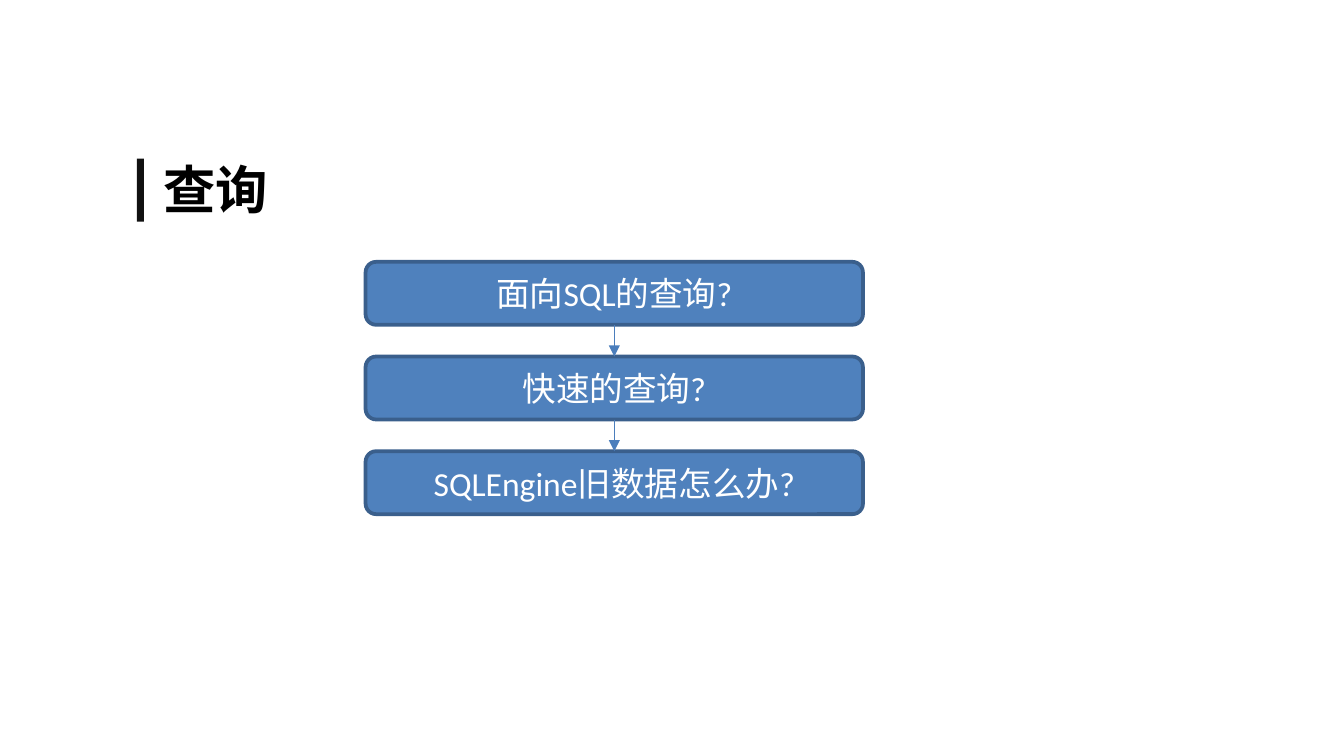
from dataclasses import dataclass

from lxml import etree
from pptx import Presentation
from pptx.dml.color import RGBColor
from pptx.enum.shapes import MSO_CONNECTOR, MSO_SHAPE
from pptx.enum.text import MSO_ANCHOR, MSO_AUTO_SIZE, PP_ALIGN
from pptx.oxml.ns import qn
from pptx.shapes.autoshape import Shape
from pptx.shapes.shapetree import SlideShapes
from pptx.text.text import TextFrame
from pptx.util import Cm, Pt

RECTANGLE = MSO_SHAPE.RECTANGLE
ROUNDED = MSO_SHAPE.ROUNDED_RECTANGLE
STRAIGHT = MSO_CONNECTOR.STRAIGHT
LEFT, CENTER = PP_ALIGN.LEFT, PP_ALIGN.CENTER
MIDDLE = MSO_ANCHOR.MIDDLE
FIT_SHAPE = MSO_AUTO_SIZE.SHAPE_TO_FIT_TEXT
BOTTOM_SITE, TOP_SITE = 2, 0


@dataclass(frozen=True)
class Theme:
    accent: str = "111111"
    title: str = "000000"
    step_fill: str = "4F81BD"
    step_border: str = "3A5F8C"
    step_text: str = "FFFFFF"
    arrow: str = "4B7EBC"
    latin_font: str = "Calibri"
    asian_font: str = "Noto Sans CJK SC"
    title_size: float = 28
    step_size: float = 18
    border_width: float = 2
    arrow_width: float = 0.75


@dataclass(frozen=True)
class Box:
    left: float
    top: float
    width: float
    height: float


@dataclass(frozen=True)
class Step:
    question: str
    box: Box


THEME = Theme()
QUESTIONS = ("面向SQL的查询?", "快速的查询?", "SQLEngine旧数据怎么办?")
FIRST_STEP = Box(6.91, 4.95, 9.4, 1.19)
STEP_PITCH = 1.79


def place(shape: Shape, box: Box) -> None:
    shape.left, shape.top = Cm(box.left), Cm(box.top)
    shape.width, shape.height = Cm(box.width), Cm(box.height)


def write_text(frame: TextFrame, text: str, *, size: float, color: str,
               font: str, align: PP_ALIGN, bold: bool = False,
               wrap: bool = True) -> None:
    frame.word_wrap = wrap
    frame.vertical_anchor = MIDDLE
    paragraph = frame.paragraphs[0]
    paragraph.alignment = align
    run = paragraph.add_run()
    run.text = text
    run.font.size = Pt(size)
    run.font.bold = bold
    run.font.name = font
    run.font.color.rgb = RGBColor.from_string(color)
    properties = run.font._element
    etree.SubElement(properties, qn("a:ea"), typeface=THEME.asian_font)


def add_block(shapes: SlideShapes, kind: MSO_SHAPE, box: Box, fill: str,
              border: str | None = None) -> Shape:
    block = shapes.add_shape(kind, 0, 0, 0, 0)
    place(block, box)
    block.shadow.inherit = False
    block.fill.solid()
    block.fill.fore_color.rgb = RGBColor.from_string(fill)
    if border:
        block.line.color.rgb = RGBColor.from_string(border)
        block.line.width = Pt(THEME.border_width)
    else:
        block.line.fill.background()
    return block


def add_step(shapes: SlideShapes, step: Step) -> Shape:
    block = add_block(shapes, ROUNDED, step.box, THEME.step_fill, THEME.step_border)
    write_text(block.text_frame, step.question, size=THEME.step_size,
               color=THEME.step_text, font=THEME.latin_font, align=CENTER)
    return block


def add_arrow(shapes: SlideShapes, upper: Shape, lower: Shape) -> None:
    arrow = shapes.add_connector(STRAIGHT, 0, 0, 0, 0)
    arrow.begin_connect(upper, BOTTOM_SITE)
    arrow.end_connect(lower, TOP_SITE)
    arrow.line.color.rgb = RGBColor.from_string(THEME.arrow)
    arrow.line.width = Pt(THEME.arrow_width)
    etree.SubElement(arrow.line._get_or_add_ln(), qn("a:tailEnd"), type="triangle")
    etree.SubElement(arrow._element.spPr, qn("a:effectLst"))


def main() -> None:
    deck = Presentation()
    deck.slide_width, deck.slide_height = Cm(25.4), Cm(14.29)
    slide = deck.slides.add_slide(deck.slide_layouts[5])
    shapes = slide.shapes

    add_block(shapes, RECTANGLE, Box(2.59, 3, 0.13, 1.19), THEME.accent)
    title = shapes.title
    place(title, Box(2.84, 2.84, 2.51, 1.45))
    write_text(title.text_frame, "查询", size=THEME.title_size, color=THEME.title,
               font=THEME.asian_font, align=LEFT, bold=True, wrap=False)
    title.text_frame.auto_size = FIT_SHAPE

    first = FIRST_STEP
    steps = [
        Step(question, Box(first.left, first.top + row * STEP_PITCH,
                           first.width, first.height))
        for row, question in enumerate(QUESTIONS)
    ]
    blocks = [add_step(shapes, step) for step in steps]
    for upper, lower in zip(blocks, blocks[1:]):
        add_arrow(shapes, upper, lower)

    deck.save("out.pptx")


if __name__ == "__main__":
    main()
